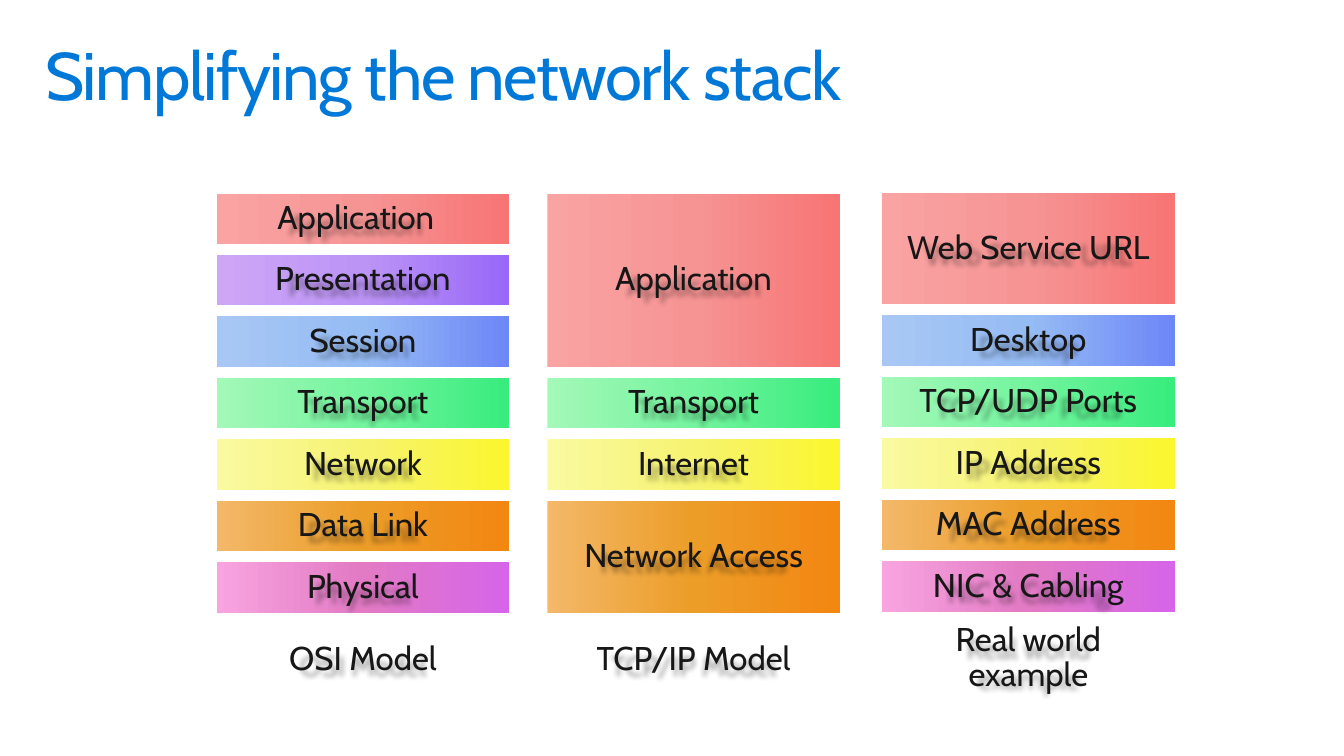
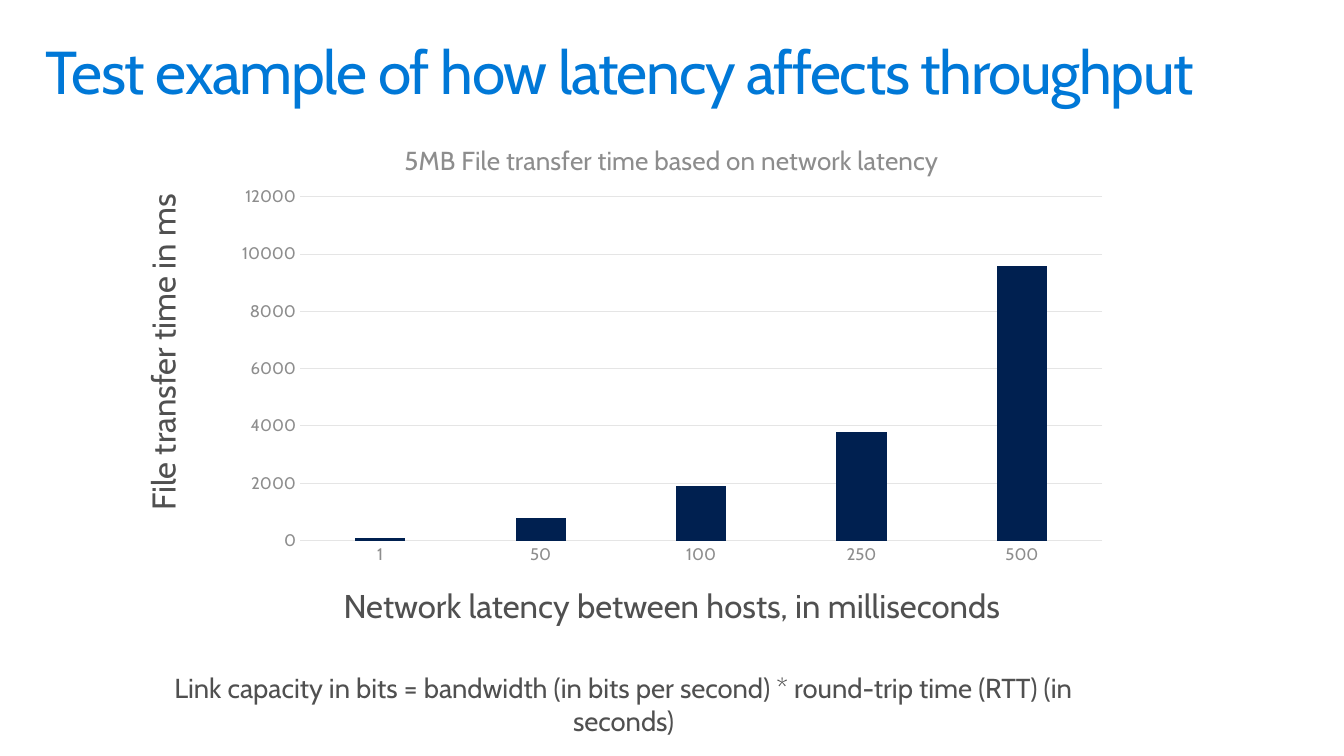
from dataclasses import dataclass
from typing import Any

from pptx import Presentation
from pptx.chart.data import CategoryChartData
from pptx.dml.color import RGBColor
from pptx.enum.chart import XL_CHART_TYPE as ChartType, XL_TICK_MARK as TickMark
from pptx.enum.shapes import MSO_SHAPE as Preset
from pptx.enum.text import MSO_ANCHOR as Anchor, MSO_AUTO_SIZE as AutoSize, PP_ALIGN as Align
from pptx.oxml import parse_xml
from pptx.oxml.ns import nsdecls, qn
from pptx.slide import Slide
from pptx.util import Inches, Pt

FACE = "Cabin"
BLUE, NAVY, INK = "0078D7", "002050", "171717"
GREY, PALE, RULE = "505050", "8D8D8D", "E5E5E5"

RED = ("F9A3A3", "F69494", "F77575")
PURPLE = ("CEA6F6", "BC94F6", "9868F8")
SKY = ("A8C7F4", "96BCF4", "6D87F7")
GREEN = ("A4F8B8", "74F49F", "38EC7D")
YELLOW = ("FAFAA2", "F6F371", "FBF62E")
ORANGE = ("F3B869", "EC9D28", "F28712")
PINK = ("F8A4E0", "E27AC4", "D665E9")

BAND_WIDTH, ROW_PITCH, ROW_GAP = 2.9, 0.61, 0.11
LABEL_WIDTH, LABEL_HEIGHT = 2.86, 0.73

WIDE_INSETS = dict(margin_left=Inches(0.2), margin_right=Inches(0.2),
                   margin_top=Inches(0.16), margin_bottom=Inches(0.16))
TITLE_FRAME = dict(margin_left=Inches(0.16), margin_right=Inches(0.16),
                   margin_top=Inches(0.1), margin_bottom=Inches(0.1),
                   word_wrap=True, auto_size=AutoSize.NONE, vertical_anchor=Anchor.TOP)
LABEL_FRAME = dict(WIDE_INSETS, word_wrap=True, vertical_anchor=Anchor.MIDDLE)
AXIS_NAME_FRAME = dict(WIDE_INSETS, word_wrap=True, vertical_anchor=Anchor.TOP)
FORMULA_FRAME = dict(word_wrap=True, vertical_anchor=Anchor.TOP)
CENTRED = dict(alignment=Align.CENTER, line_spacing=0.9)
AXIS_NAME_PARA = dict(CENTRED, space_after=Pt(5.9))


@dataclass(frozen=True)
class Box:
    left: float
    top: float
    width: float
    height: float

    def lengths(self) -> tuple:
        return tuple(Inches(n) for n in (self.left, self.top, self.width, self.height))


@dataclass(frozen=True)
class Band:
    label: str
    stops: tuple[str, str, str]
    rows: int = 1
    label_shift: float = 0


@dataclass(frozen=True)
class Stack:
    left: float
    top: float
    caption: str
    bands: tuple[Band, ...]
    caption_middle: float = 6.55


STACKS = (
    Stack(2.15, 1.92, "OSI Model", (
        Band("Application", RED, label_shift=-0.07), Band("Presentation", PURPLE),
        Band("Session", SKY), Band("Transport", GREEN), Band("Network", YELLOW),
        Band("Data Link", ORANGE), Band("Physical", PINK))),
    Stack(5.43, 1.92, "TCP/IP Model", (
        Band("Application", RED, 3), Band("Transport", GREEN),
        Band("Internet", YELLOW), Band("Network Access", ORANGE, 2))),
    Stack(8.75, 1.91, "Real world example", (
        Band("Web Service URL", RED, 2), Band("Desktop", SKY),
        Band("TCP/UDP Ports", GREEN), Band("IP Address", YELLOW),
        Band("MAC Address", ORANGE), Band("NIC & Cabling", PINK)), 6.53),
)


def apply_format(target: Any, values: dict) -> None:
    for name, value in values.items():
        setattr(target, name, value)


def colour(hex_value: str) -> RGBColor:
    return RGBColor.from_string(hex_value)


def style_font(font: Any, size: float, hex_value: str) -> None:
    apply_format(font, dict(name=FACE, size=Pt(size), bold=False))
    font.color.rgb = colour(hex_value)


def add_title(page: Slide, text: str, size: float) -> None:
    title = page.shapes.title
    title.left, title.top, title.width, title.height = Box(0.29, 0.32, 12.75, 0.98).lengths()
    apply_format(title.text_frame, TITLE_FRAME)
    para = title.text_frame.paragraphs[0]
    apply_format(para, dict(alignment=Align.LEFT, line_spacing=0.9))
    span = para.add_run()
    span.text = text
    style_font(span.font, size, BLUE)
    span.font._element.set("spc", "-100")


def add_text(shapes: Any, box: Box, text: str, size: float, ink: str,
             frame_format: dict, para_format: dict) -> Any:
    text_box = shapes.add_textbox(*box.lengths())
    apply_format(text_box.text_frame, frame_format)
    para = text_box.text_frame.paragraphs[0]
    apply_format(para, para_format)
    span = para.add_run()
    span.text = text
    style_font(span.font, size, ink)
    return text_box


def add_label(shapes: Any, centre: float, middle: float, text: str) -> None:
    box = Box(centre - LABEL_WIDTH / 2, middle - LABEL_HEIGHT / 2, LABEL_WIDTH, LABEL_HEIGHT)
    label = add_text(shapes, box, text, 23.5, INK, LABEL_FRAME, CENTRED)
    label._element.spPr.append(parse_xml(
        f'<a:effectLst {nsdecls("a")}><a:outerShdw blurRad="50800" dist="63500" dir="5400000" '
        'sx="85000" sy="85000" algn="ctr" rotWithShape="0"><a:srgbClr val="000000">'
        '<a:alpha val="40000"/></a:srgbClr></a:outerShdw></a:effectLst>'))


def add_band(shapes: Any, box: Box, stops: tuple[str, str, str]) -> None:
    bar = shapes.add_shape(Preset.RECTANGLE, *box.lengths())
    bar.shadow.inherit = False
    bar.line.fill.background()
    marks = "".join(f'<a:gs pos="{place * 50000}"><a:srgbClr val="{stop}"/></a:gs>'
                    for place, stop in enumerate(stops))
    bar._element.spPr.insert(2, parse_xml(
        f'<a:gradFill {nsdecls("a")} rotWithShape="1"><a:gsLst>{marks}</a:gsLst>'
        '<a:lin ang="0" scaled="0"/></a:gradFill>'))


def add_stack(page: Slide, stack: Stack) -> None:
    shapes = page.shapes.add_group_shape().shapes
    centre = stack.left + BAND_WIDTH / 2
    top = stack.top
    for band in stack.bands:
        height = band.rows * ROW_PITCH - ROW_GAP
        add_band(shapes, Box(stack.left, top, BAND_WIDTH, height), band.stops)
        add_label(shapes, centre + band.label_shift, top + height / 2, band.label)
        top += band.rows * ROW_PITCH
    add_label(shapes, centre, stack.caption_middle, stack.caption)


def style_axis(axis: Any) -> None:
    apply_format(axis, dict(major_tick_mark=TickMark.NONE, minor_tick_mark=TickMark.NONE))
    style_font(axis.tick_labels.font, 12, PALE)


def draw_rule(line: Any) -> None:
    line.width = Pt(0.75)
    line.color.rgb = colour(RULE)


def place_plot(chart: Any, x: float, y: float, w: float, h: float) -> None:
    plot_area = chart._chartSpace.chart.plotArea
    for layout in plot_area.findall(qn("c:layout")):
        plot_area.remove(layout)
    sizes = "".join(f'<c:{name} val="{value}"/>'
                    for name, value in dict(x=x, y=y, w=w, h=h).items())
    plot_area.insert(0, parse_xml(
        f'<c:layout {nsdecls("c")}><c:manualLayout><c:layoutTarget val="inner"/>'
        f'<c:xMode val="edge"/><c:yMode val="edge"/>{sizes}</c:manualLayout></c:layout>'))


def add_latency_chart(page: Slide) -> None:
    chart_data = CategoryChartData()
    chart_data.categories = ["1", "50", "100", "250", "500"]
    chart_data.add_series("Series 1", [100, 800, 1900, 3800, 9600])
    chart = page.shapes.add_chart(ChartType.COLUMN_CLUSTERED,
                                  *Box(2.22, 1.22, 8.89, 4.47).lengths(), chart_data).chart
    style_font(chart.font, 10, GREY)
    chart.has_legend = False
    chart.has_title = True
    para = chart.chart_title.text_frame.paragraphs[0]
    span = para.add_run()
    span.text = "5MB File transfer time based on network latency"
    style_font(span.font, 18.6, PALE)

    plot = chart.plots[0]
    apply_format(plot, dict(gap_width=219, overlap=-27, vary_by_categories=False))
    bars = plot.series[0].format.fill
    bars.solid()
    bars.fore_color.rgb = colour(NAVY)

    categories, values = chart.category_axis, chart.value_axis
    style_axis(categories)
    style_axis(values)
    draw_rule(categories.format.line)
    apply_format(values, dict(minimum_scale=0, maximum_scale=12000, major_unit=2000,
                              has_major_gridlines=True))
    values.format.line.fill.background()
    draw_rule(values.major_gridlines.format.line)
    place_plot(chart, 0.085, 0.164, 0.895, 0.763)


def build_network_page(page: Slide) -> None:
    add_title(page, "Simplifying the network stack", 48)
    for stack in STACKS:
        add_stack(page, stack)


def build_latency_page(page: Slide) -> None:
    add_title(page, "Test example of how latency affects throughput", 43.2)
    add_latency_chart(page)
    add_text(page.shapes, Box(2.22, 5.69, 8.89, 0.67),
             "Network latency between hosts, in milliseconds",
             23.5, GREY, AXIS_NAME_FRAME, AXIS_NAME_PARA)
    upright = add_text(page.shapes, Box(1.26, 1.3, 0.75, 4.39), "File transfer time in ms",
                       23.5, GREY, AXIS_NAME_FRAME, AXIS_NAME_PARA)
    upright.text_frame._txBody.bodyPr.set("vert", "vert270")
    add_text(page.shapes, Box(1.26, 6.61, 9.85, 0.76),
             "Link capacity in bits = bandwidth (in bits per second) * "
             "round-trip time (RTT) (in seconds)",
             19.6, GREY, FORMULA_FRAME, dict(alignment=Align.CENTER))


def main() -> None:
    deck = Presentation()
    deck.slide_width, deck.slide_height = Inches(13.33), Inches(7.5)
    for build_page in (build_network_page, build_latency_page):
        build_page(deck.slides.add_slide(deck.slide_layouts[5]))
    deck.save("out.pptx")


if __name__ == "__main__":
    main()
